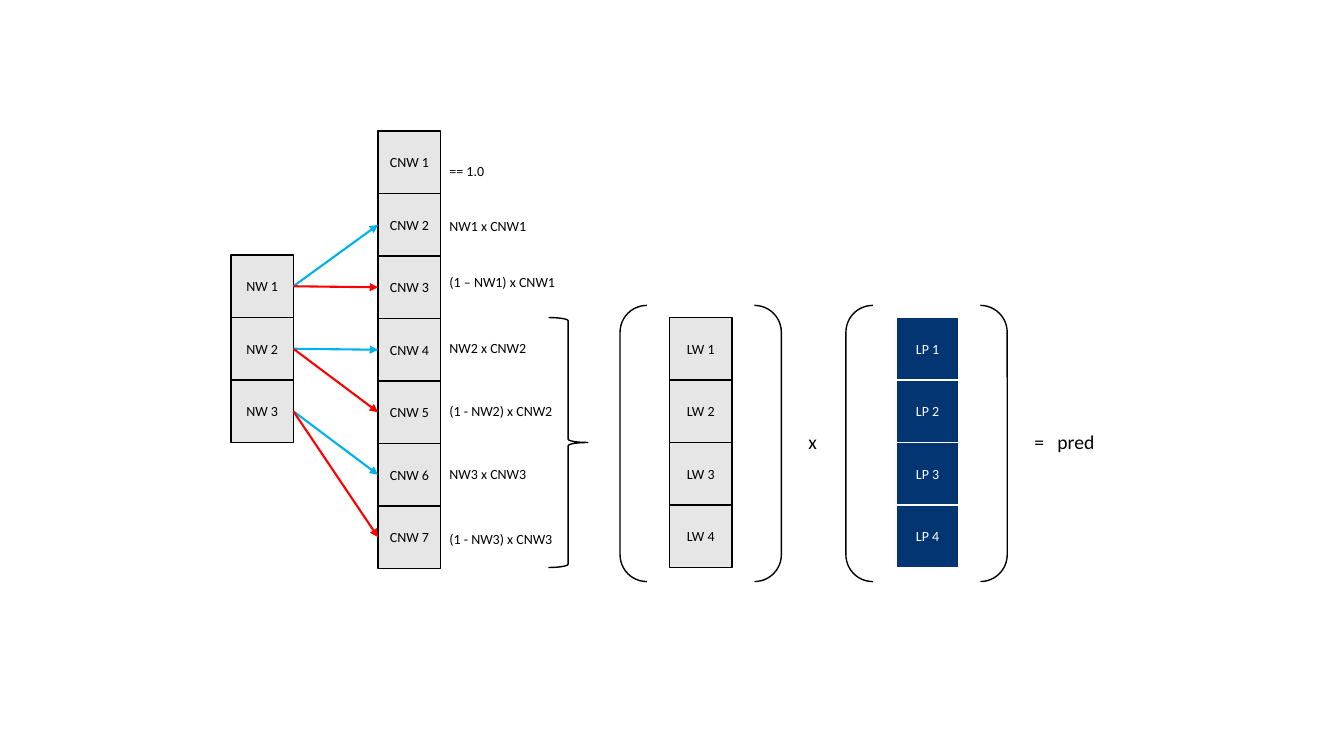
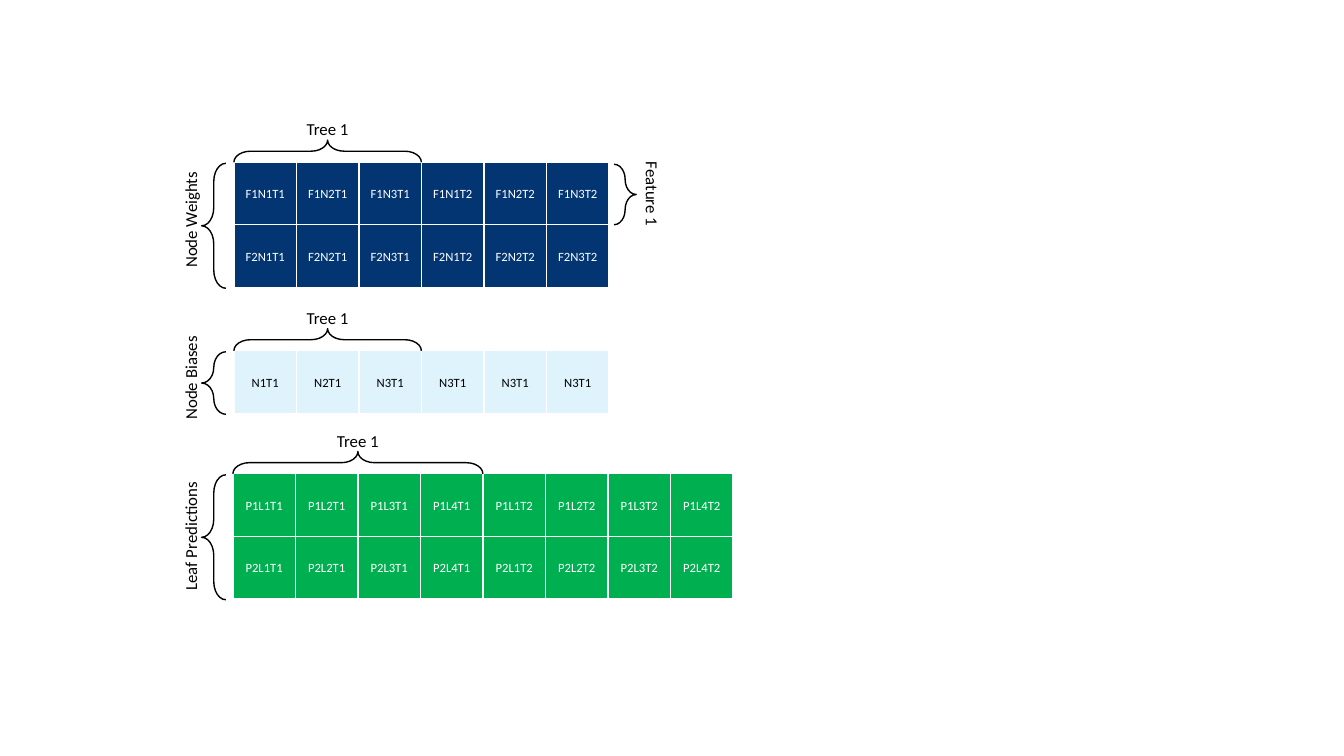
from lxml import etree
from pptx import Presentation
from pptx.dml.color import RGBColor
from pptx.enum import shapes, text
from pptx.oxml.ns import qn
from pptx.util import Inches, Pt

BLACK = RGBColor(0x00, 0x00, 0x00)
WHITE = RGBColor(0xFF, 0xFF, 0xFF)
GREY = RGBColor(0xE7, 0xE6, 0xE6)
NAVY = RGBColor(0x02, 0x35, 0x72)
PALE_BLUE = RGBColor(0xDF, 0xF3, 0xFC)
GREEN = RGBColor(0x00, 0xB0, 0x50)
BLUE = RGBColor(0x00, 0xB0, 0xF0)
RED = RGBColor(0xFF, 0x00, 0x00)

FONT = "Calibri"
CELL = 0.62
LEFT, CENTER = text.PP_ALIGN.LEFT, text.PP_ALIGN.CENTER
BRACE = shapes.MSO_SHAPE.RIGHT_BRACE
BRACKETS = shapes.MSO_SHAPE.DOUBLE_BRACKET

# prefix: (cell count, left, top, fill, line, text colour)
COLUMNS = {
    "NW": (3, 2.29, 2.53, GREY, BLACK, BLACK),
    "CNW": (7, 3.75, 1.3, GREY, BLACK, BLACK),
    "LW": (4, 6.64, 3.15, GREY, BLACK, BLACK),
    "LP": (4, 8.89, 3.15, NAVY, WHITE, WHITE),
}
FORMULAS = [
    ("== 1.0", 1.56),
    ("NW1 x CNW1", 2.11),
    ("(1 – NW1) x CNW1", 2.66),
    ("NW2 x CNW2", 3.32),
    ("(1 - NW2) x CNW2", 3.94),
    ("NW3 x CNW3", 4.57),
    ("(1 - NW3) x CNW3", 5.21),
]
TREES = (1, 2)
GRIDS = [
    {"title": "Node Weights", "title_middle": 2.18, "left": 2.32, "top": 1.61,
     "rows": [[f"F{f}N{n}T{t}" for t in TREES for n in (1, 2, 3)] for f in (1, 2)],
     "tree_size": 3, "fill": NAVY, "color": WHITE},
    {"title": "Node Biases", "title_middle": 3.75, "left": 2.32, "top": 3.48,
     "rows": [["N1T1", "N2T1", "N3T1", "N3T1", "N3T1", "N3T1"]],
     "tree_size": 3, "fill": PALE_BLUE, "color": BLACK},
    {"title": "Leaf Predictions", "title_middle": 5.32, "left": 2.31, "top": 4.7,
     "rows": [[f"P{p}L{n}T{t}" for t in TREES for n in (1, 2, 3, 4)] for p in (1, 2)],
     "tree_size": 4, "fill": GREEN, "color": WHITE},
]


def frame(left, top, width, height, turn=0):
    """Lengths of the unturned frame that covers the given area once turned."""
    if turn % 180:
        left, top = left + (width - height) / 2, top + (height - width) / 2
        width, height = height, width
    return [Inches(value) for value in (left, top, width, height)]


def write(box, words, size, color, align):
    box.text_frame.text = words
    box.text_frame.word_wrap = True
    para = box.text_frame.paragraphs[0]
    para.alignment = align
    para.font.name, para.font.size = FONT, Pt(size)
    para.font.color.rgb = color
    return para


def add_label(page, words, area, size, align=LEFT, turn=0):
    box = page.shapes.add_textbox(*frame(*area, turn))
    box.rotation = turn
    return write(box, words, size, BLACK, align)


def add_cell(page, words, left, top, size, fill, line, color):
    cell = page.shapes.add_shape(shapes.MSO_SHAPE.RECTANGLE, *frame(left, top, CELL, CELL))
    cell.shadow.inherit = False
    cell.fill.solid()
    cell.fill.fore_color.rgb = fill
    cell.line.color.rgb, cell.line.width = line, Pt(1)
    write(cell, words, size, color, CENTER)
    body = cell.text_frame
    body.vertical_anchor = text.MSO_ANCHOR.MIDDLE
    body.margin_left = body.margin_right = 0
    return cell


def add_outline(page, kind, area, turn=0, curve=None):
    """Unfilled brace or bracket pair."""
    outline = page.shapes.add_shape(kind, *frame(*area, turn))
    outline.rotation = turn
    outline.shadow.inherit = False
    outline.fill.background()
    outline.line.color.rgb, outline.line.width = BLACK, Pt(1)
    if curve is not None:
        outline.adjustments[0] = curve


def add_arrow(page, source, target, color):
    """Arrow from the right side of source to the left side of target."""
    arrow = page.shapes.add_connector(shapes.MSO_CONNECTOR.STRAIGHT, 0, 0, 0, 0)
    arrow.begin_connect(source, 3)
    arrow.end_connect(target, 1)
    arrow.line.color.rgb, arrow.line.width = color, Pt(1.5)
    etree.SubElement(arrow.line._get_or_add_ln(), qn("a:tailEnd"), type="triangle")
    etree.SubElement(arrow._element.spPr, qn("a:effectLst"))


def add_tab_stop(para, position):
    stops = etree.Element(qn("a:tabLst"))
    etree.SubElement(stops, qn("a:tab"), pos=str(Inches(position)), algn="l")
    para._p.get_or_add_pPr().insert(0, stops)


def build_prediction(page):
    cells = {}
    for prefix, (count, left, top, *colors) in COLUMNS.items():
        cells[prefix] = [
            add_cell(page, f"{prefix} {row + 1}", left, top + row * CELL, 10, *colors)
            for row in range(count)
        ]
    for index, node in enumerate(cells["NW"]):
        add_arrow(page, node, cells["CNW"][2 * index + 1], BLUE)
        add_arrow(page, node, cells["CNW"][2 * index + 2], RED)
    for formula, top in FORMULAS:
        add_label(page, formula, (4.36, top, 1.46, 0.27), 10)
    add_outline(page, BRACE, (5.44, 3.15, 0.39, 4 * CELL))
    for left in (6.15, 8.39):
        add_outline(page, BRACKETS, (left, 3.03, 1.6, 2.74))
    add_label(page, "x", (7.92, 4.22, 0.31, 0.34), 14)
    result = add_label(page, "=\tpred", (10.16, 4.22, 1.06, 0.34), 14)
    add_tab_stop(result, 0.23)


def build_grid(page, grid):
    left, top, rows = grid["left"], grid["top"], grid["rows"]
    for row, names in enumerate(rows):
        for column, name in enumerate(names):
            add_cell(page, name, left + column * CELL, top + row * CELL, 9,
                     grid["fill"], WHITE, grid["color"])
    span = grid["tree_size"] * CELL
    add_outline(page, BRACE, (left, top - 0.22, span, 0.22), 270, 0.75)
    add_label(page, "Tree 1", (left + span / 2 - 0.85, top - 0.48, 1.7, 0.3), 12, CENTER)
    add_outline(page, BRACE, (2, top + 0.01, 0.24, len(rows) * CELL), 180, 0.75)
    add_label(page, grid["title"], (1.74, grid["title_middle"] - 0.76, 0.3, 1.52),
              12, CENTER, 270)


def build_layout(page):
    for grid in GRIDS:
        build_grid(page, grid)
    add_outline(page, BRACE, (6.09, 1.63, 0.22, 0.6), curve=0.75)
    add_label(page, "Feature 1", (6.32, 1.46, 0.3, 0.93), 12, CENTER, 90)


def main():
    deck = Presentation()
    deck.slide_width, deck.slide_height = Inches(13.33), Inches(7.5)
    for build in (build_prediction, build_layout):
        build(deck.slides.add_slide(deck.slide_layouts[6]))
    deck.save("out.pptx")


if __name__ == "__main__":
    main()
